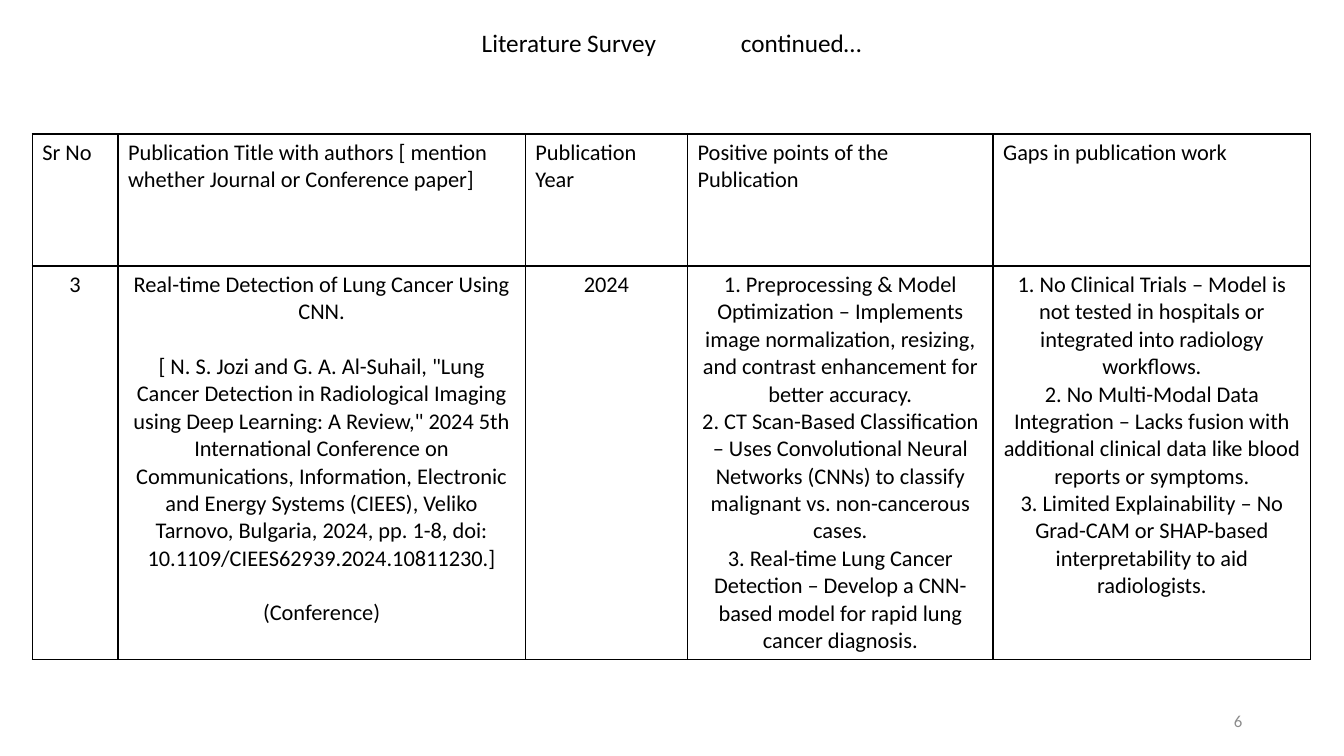
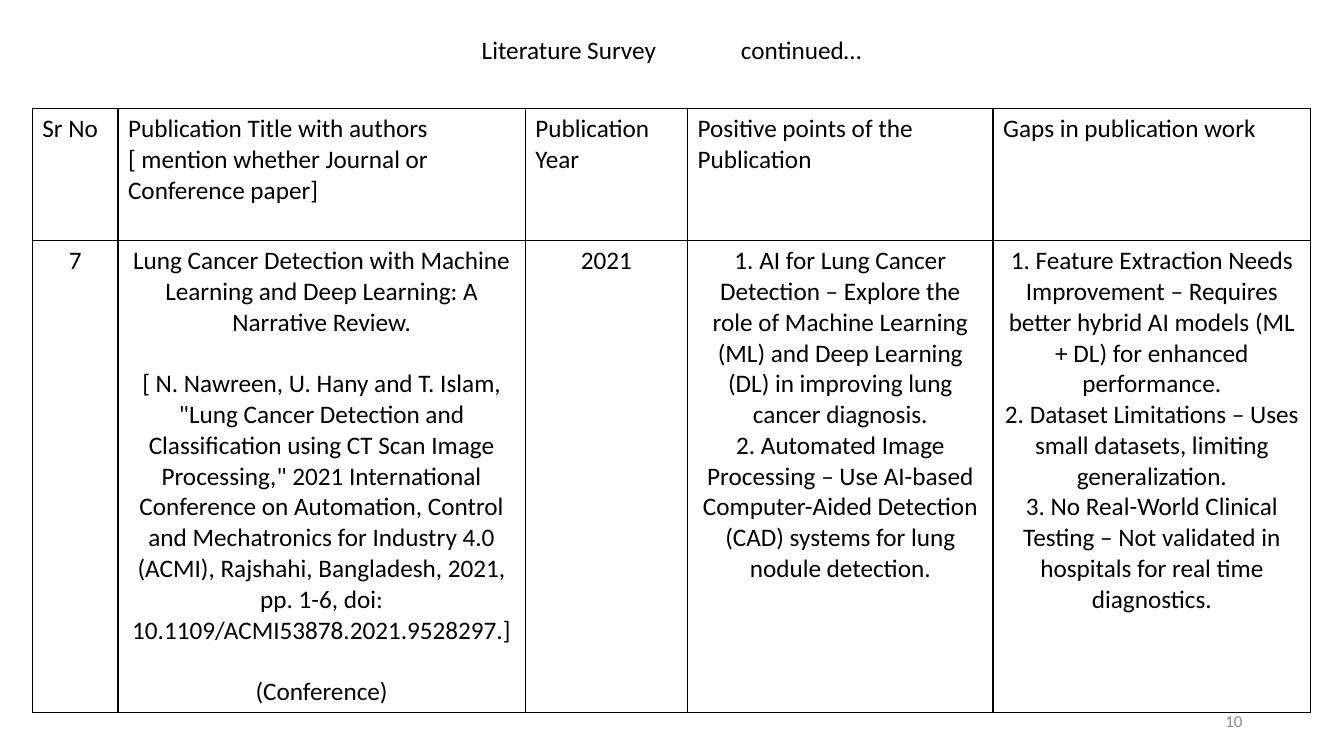
from lxml import etree
from pptx import Presentation, util as u
from pptx.dml.color import RGBColor
from pptx.enum import text
from pptx.oxml.ns import qn

COLORS = {"ink": "000000", "page_number": "8C8C8C"}
FONT = "Calibri"
LINE_HEIGHT = 1.22
COLUMN_WIDTHS = [0.85, 4.04, 1.61, 3.03, 3.15]
HEADER_HEIGHT = 1.31
HEADINGS = [
    "Sr No",
    "Publication Title with authors [ mention whether Journal or Conference paper]",
    "Publication Year",
    "Positive points of the Publication",
    "Gaps in publication work",
]

surveys = [
    {
        "page": "6", "title_top": 0.21, "table_top": 1.33, "size": 16, "entry_height": 3.9,
        "entry": [
            ["3"],
            ["Real-time Detection of Lung Cancer Using CNN.",
             '[ N. S. Jozi and G. A. Al-Suhail, "Lung Cancer Detection in Radiological Imaging '
             'using Deep Learning: A Review," 2024 5th International Conference on '
             "Communications, Information, Electronic and Energy Systems (CIEES), Veliko "
             "Tarnovo, Bulgaria, 2024, pp. 1-8, doi: 10.1109/CIEES62939.2024.10811230.]",
             "(Conference)"],
            ["2024"],
            ["1. Preprocessing & Model Optimization – Implements image normalization, "
             "resizing, and contrast enhancement for better accuracy.",
             "2. CT Scan-Based Classification – Uses Convolutional Neural Networks (CNNs) "
             "to classify malignant vs. non-cancerous cases.",
             "3. Real-time Lung Cancer Detection – Develop a CNN-based model for rapid "
             "lung cancer diagnosis."],
            ["1. No Clinical Trials – Model is not tested in hospitals or integrated into "
             "radiology workflows.",
             "2. No Multi-Modal Data Integration – Lacks fusion with additional clinical "
             "data like blood reports or symptoms.",
             "3. Limited Explainability – No Grad-CAM or SHAP-based interpretability to "
             "aid radiologists."],
        ],
    },
    {
        "page": "10", "title_top": 0.27, "table_top": 1.08, "size": 18, "entry_height": 4.68,
        "entry": [
            ["7"],
            ["Lung Cancer Detection with Machine Learning and Deep Learning: A Narrative Review.",
             '[ N. Nawreen, U. Hany and T. Islam, "Lung Cancer Detection and Classification '
             'using CT Scan Image Processing," 2021 International Conference on Automation, '
             "Control and Mechatronics for Industry 4.0 (ACMI), Rajshahi, Bangladesh, 2021, "
             "pp. 1-6, doi: 10.1109/ACMI53878.2021.9528297.]",
             "(Conference)"],
            ["2021"],
            ["1. AI for Lung Cancer Detection – Explore the role of Machine Learning (ML) "
             "and Deep Learning (DL) in improving lung cancer diagnosis.",
             "2. Automated Image Processing – Use AI-based Computer-Aided Detection (CAD) "
             "systems for lung nodule detection."],
            ["1. Feature Extraction Needs Improvement – Requires better hybrid AI models "
             "(ML + DL) for enhanced performance.",
             "2. Dataset Limitations – Uses small datasets, limiting generalization.",
             "3. No Real-World Clinical Testing – Not validated in hospitals for real time "
             "diagnostics."],
        ],
    },
]


def write(frame, paragraphs, size, color="ink", align="LEFT", gap=0, spacing=None):
    """Fill a text frame; gap is the space in points between paragraphs."""
    frame.word_wrap = True
    for index, content in enumerate(paragraphs):
        paragraph = frame.add_paragraph() if index else frame.paragraphs[0]
        paragraph.alignment = getattr(text.PP_ALIGN, align)
        paragraph.line_spacing = spacing
        if index and gap:
            paragraph.space_before = u.Pt(gap)
        run = paragraph.add_run()
        run.text = content
        run.font.name = FONT
        run.font.size = u.Pt(size)
        run.font.color.rgb = RGBColor.from_string(COLORS[color])


def rule_cell(cell):
    """Draw thin lines on all four sides and leave the cell unfilled."""
    properties = cell._tc.get_or_add_tcPr()
    for side in ("lnL", "lnR", "lnT", "lnB"):
        line = etree.SubElement(properties, qn(f"a:{side}"), w=str(u.Pt(1)))
        fill = etree.SubElement(line, qn("a:solidFill"))
        etree.SubElement(fill, qn("a:srgbClr"), val=COLORS["ink"])
    cell.fill.background()


deck = Presentation()
deck.slide_width, deck.slide_height = u.Inches(13.33), u.Inches(7.5)

for survey in surveys:
    slide = deck.slides.add_slide(deck.slide_layouts[6])

    page_number = slide.shapes.add_textbox(
        u.Inches(9.42), u.Inches(6.95), u.Inches(3), u.Inches(0.4)).text_frame
    page_number.vertical_anchor = text.MSO_ANCHOR.MIDDLE
    write(page_number, [survey["page"]], 12, color="page_number", align="RIGHT")

    row_heights = [HEADER_HEIGHT, survey["entry_height"]]
    table = slide.shapes.add_table(
        len(row_heights), len(COLUMN_WIDTHS), u.Inches(0.32), u.Inches(survey["table_top"]),
        u.Inches(sum(COLUMN_WIDTHS)), u.Inches(sum(row_heights))).table
    table.first_row = table.horz_banding = False
    for row, height in zip(table.rows, row_heights):
        row.height = u.Inches(height)
    size = survey["size"]
    for index, (width, heading, entry) in enumerate(
            zip(COLUMN_WIDTHS, HEADINGS, survey["entry"])):
        table.columns[index].width = u.Inches(width)
        heading_cell, entry_cell = table.cell(0, index), table.cell(1, index)
        write(heading_cell.text_frame, [heading], size)
        gap = size * LINE_HEIGHT if index == 1 else 0
        write(entry_cell.text_frame, entry, size, align="CENTER", gap=gap)
        rule_cell(heading_cell)
        rule_cell(entry_cell)

    title = slide.shapes.add_textbox(
        u.Inches(4.68), u.Inches(survey["title_top"]), u.Inches(4.2), u.Inches(0.47)).text_frame
    title.margin_top = title.margin_bottom = u.Inches(0.1)
    write(title, ["Literature Survey\tcontinued…"], 18, spacing=0.9)
    tabs = etree.SubElement(title.paragraphs[0]._p.get_or_add_pPr(), qn("a:tabLst"))
    etree.SubElement(tabs, qn("a:tab"), pos=str(u.Inches(2.57)), algn="l")

deck.save("out.pptx")
